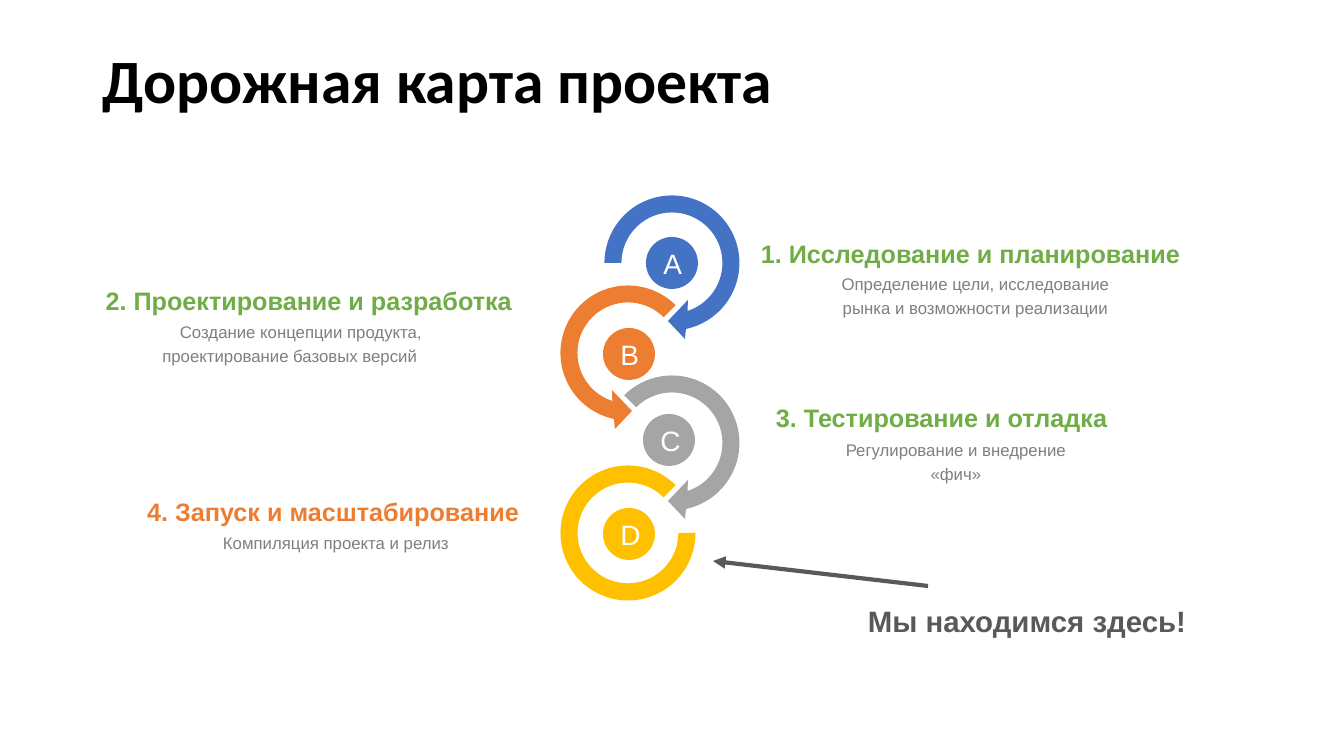
import math

import lxml.etree
import pptx
import pptx.dml.color
import pptx.enum.shapes
import pptx.enum.text
import pptx.oxml
import pptx.oxml.ns
import pptx.util
from dataclasses import dataclass

ALIGN = pptx.enum.text.PP_ALIGN
ANCHOR = pptx.enum.text.MSO_ANCHOR
SHAPE = pptx.enum.shapes.MSO_SHAPE
QN = pptx.oxml.ns.qn


@dataclass(frozen=True)
class Theme:
    """Hold the colours, fonts and type sizes of the slide."""
    blue: str = "4472C4"
    orange: str = "ED7D31"
    grey: str = "A5A5A5"
    gold: str = "FFC000"
    green: str = "70AD47"
    black: str = "000000"
    white: str = "FFFFFF"
    note: str = "7F7F7F"
    dark: str = "595959"
    font: str = "Arial"
    head: str = "Calibri"
    title: int = 44
    call: int = 21
    dot: int = 20
    step: int = 18
    small: int = 12


THEME = Theme()
OUTER, INNER, FRAME, DOT = 67.5, 50.5, 78.5, 52


def px(num):
    """Turn pixels into EMU."""
    return pptx.util.Emu(round(num * 914400 / 100.8))


def rgb(code):
    """Turn a hex code into a colour."""
    return pptx.dml.color.RGBColor.from_string(code)


def write(shape, text, size, color, align, bold=False, font=THEME.font, space=None):
    """Write one styled run into a shape."""
    frame = shape.text_frame
    frame.word_wrap = True
    para = frame.paragraphs[0]
    para.alignment = align
    para.line_spacing = space
    run = para.add_run()
    run.text = text
    run.font.name = font
    run.font.size = pptx.util.Pt(size)
    run.font.bold = bold
    run.font.color.rgb = rgb(color)


def paint(shape, color):
    """Fill a shape flat, with no line or shadow."""
    shape.shadow.inherit = False
    shape.fill.solid()
    shape.fill.fore_color.rgb = rgb(color)
    shape.line.fill.background()


def add_title(slide, text):
    """Place and fill the slide title."""
    title = slide.shapes.title
    title.left, title.top, title.width, title.height = map(px, (92, 41, 1159, 86))
    title.text_frame.vertical_anchor = ANCHOR.MIDDLE
    write(title, text, THEME.title, THEME.black, ALIGN.LEFT, True, THEME.head, 0.9)


def add_label(slide, box, text, size, color, align, bold=False):
    """Add a text box."""
    label = slide.shapes.add_textbox(*map(px, box))
    write(label, text, size, color, align, bold, space=1.2)


def polar(radius, turn):
    """Find the point of a circle at an angle."""
    return radius * math.cos(turn), radius * math.sin(turn)


def arc(radius, start, end):
    """List the start of an arc and its three cubic curves."""
    first, step = math.radians(start), math.radians(end - start) / 3
    pull = 4 / 3 * math.tan(step / 4)
    curves = []
    for i in range(3):
        a, b = first + i * step, first + (i + 1) * step
        (ax, ay), (bx, by) = polar(radius, a), polar(radius, b)
        curves.append([(ax - pull * ay, ay + pull * ax),
                       (bx + pull * by, by - pull * bx), (bx, by)])
    return polar(radius, first), curves


def add_arrow(slide, x, y, start, side, color):
    """Add a curved arrow round a centre; side -1 mirrors it."""
    first, outer = arc(OUTER, start, 438)
    _, inner = arc(INNER, 432, start)
    head = [(13, 76), (-4, 58), (16, 37), polar(INNER, math.radians(432))]
    parts = [("moveTo", [first])] + [("cubicBezTo", c) for c in outer]
    parts += [("lnTo", [p]) for p in head] + [("cubicBezTo", c) for c in inner]

    low, high = (px(x - FRAME), px(y - FRAME)), (px(x + FRAME), px(y + FRAME))
    form = slide.shapes.build_freeform(*low, scale=1.0)
    form.add_line_segments([high], close=True)
    arrow = form.convert_to_shape()
    trace = next(arrow._element.iter(QN("a:path")))
    for old in list(trace):
        trace.remove(old)
    for kind, spots in parts + [("close", [])]:
        node = lxml.etree.SubElement(trace, QN(f"a:{kind}"))
        for dx, dy in spots:
            spot = lxml.etree.SubElement(node, QN("a:pt"))
            spot.set("x", str(px(FRAME + side * dx)))
            spot.set("y", str(px(FRAME + dy)))
    paint(arrow, color)


def add_ring(slide, x, y, color):
    """Add the open ring of the last stage."""
    box = (x - OUTER, y - OUTER, 2 * OUTER, 2 * OUTER)
    ring = slide.shapes.add_shape(SHAPE.BLOCK_ARC, *map(px, box))
    for i, value in enumerate((0, 189, 0.127)):
        ring.adjustments[i] = value
    paint(ring, color)


def add_dot(slide, x, y, text, color):
    """Add a lettered disc."""
    dot = slide.shapes.add_shape(SHAPE.OVAL, *map(px, (x, y, DOT, DOT)))
    paint(dot, color)
    dot.text_frame.vertical_anchor = ANCHOR.MIDDLE
    write(dot, text, THEME.dot, THEME.white, ALIGN.CENTER)


def add_pointer(slide, start, end):
    """Add the straight arrow to the current stage."""
    kind = pptx.enum.shapes.MSO_CONNECTOR.STRAIGHT
    line = slide.shapes.add_connector(kind, *map(px, start + end))
    line.line.color.rgb = rgb(THEME.dark)
    line.line.width = pptx.util.Pt(3)
    shape = line._element.spPr
    tip = lxml.etree.SubElement(shape.find(QN("a:ln")), QN("a:tailEnd"))
    tip.set("type", "triangle")
    lxml.etree.SubElement(shape, QN("a:effectLst"))


def main():
    """Build the roadmap slide."""
    deck = pptx.Presentation()
    deck.slide_width, deck.slide_height = px(1344), px(756)
    slide = deck.slides.add_slide(deck.slide_layouts[5])
    add_title(slide, "Дорожная карта проекта")

    right, left, top, step = 672, 628, 263, 90
    add_arrow(slide, right, top + 2 * step, 225, 1, THEME.grey)
    add_dot(slide, 643, 414, "C", THEME.grey)
    add_ring(slide, left, top + 3 * step, THEME.gold)
    add_dot(slide, 603, 508, "D", THEME.gold)
    add_arrow(slide, left, top + step, 225, -1, THEME.orange)
    add_dot(slide, 603, 328, "B", THEME.orange)
    add_arrow(slide, right, top, 180, 1, THEME.blue)
    add_dot(slide, 646, 237, "A", THEME.blue)

    stages = [
        ("1. Исследование и планирование", (751, 227, 467, 43), THEME.green, ALIGN.JUSTIFY,
         "Определение цели, исследование рынка и возможности реализации",
         (813, 265, 325, 56), ALIGN.CENTER),
        ("3. Тестирование и отладка", (766, 391, 418, 43), THEME.green, ALIGN.JUSTIFY,
         "Регулирование и внедрение «фич»", (824, 431, 264, 56), ALIGN.CENTER),
        ("2. Проектирование и разработка", (48, 274, 474, 43), THEME.green, ALIGN.RIGHT,
         "Создание концепции продукта, проектирование базовых версий ",
         (110, 313, 322, 56), ALIGN.RIGHT),
        ("4. Запуск и масштабирование", (110, 485, 419, 43), THEME.orange, ALIGN.RIGHT,
         "Компиляция проекта и релиз", (137, 524, 322, 32), ALIGN.RIGHT),
    ]
    for name, box, color, align, note, area, side in stages:
        add_label(slide, area, note, THEME.small, THEME.note, side)
        add_label(slide, box, name, THEME.step, color, align, True)

    add_label(slide, (722, 591, 474, 43), "Мы находимся здесь!",
              THEME.call, THEME.dark, ALIGN.RIGHT, True)
    add_pointer(slide, (928, 586), (713, 561))
    deck.save("out.pptx")


if __name__ == "__main__":
    main()
